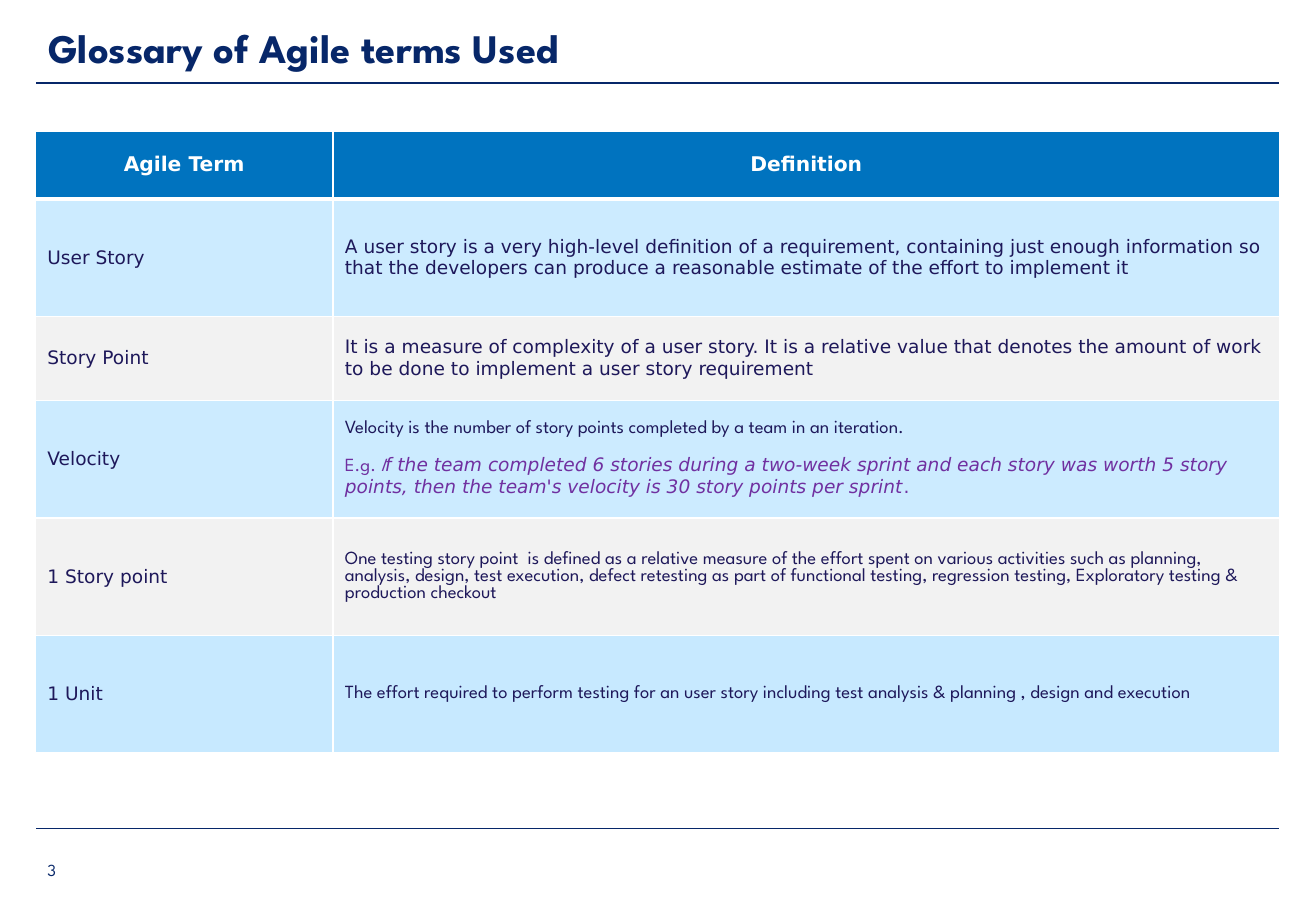
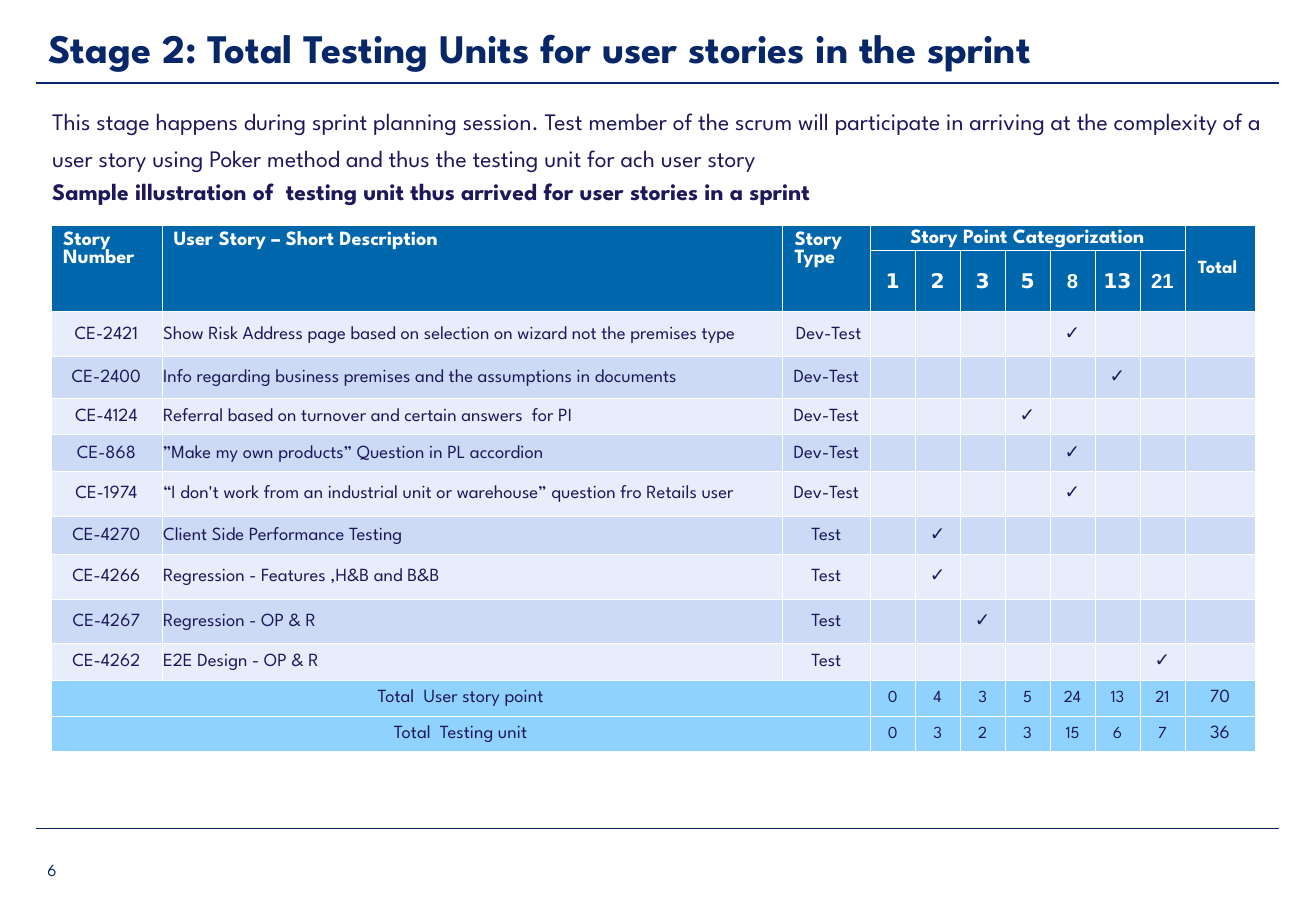
import lxml.etree
import pptx
import pptx.dml.color
import pptx.enum.shapes
import pptx.enum.text
import pptx.oxml.ns
import pptx.util

Cm, Pt = pptx.util.Cm, pptx.util.Pt
ALIGN = pptx.enum.text.PP_ALIGN
ANCHOR = pptx.enum.text.MSO_ANCHOR
qn = pptx.oxml.ns.qn

NAVY, INK, WHITE, PURPLE = "072769", "1E185A", "FFFFFF", "7030A0"
SPARTAN, DEJAVU, ARIAL = "League Spartan", "DejaVu Sans", "Arial"
WIDTH, HEIGHT = 27.51, 19.05
DEFAULT_INSETS = (0.25, 0.13, 0.25, 0.13)
TIGHT_INSETS = (0.03, 0.03, 0.03, 0)


def rgb(value):
    return pptx.dml.color.RGBColor.from_string(value)


def write(p, text, size=11, font=SPARTAN, color=INK, bold=False, italic=False,
          align=ALIGN.LEFT, spacing=None):
    p.alignment = align
    if spacing:
        p.line_spacing = spacing
    if not text:
        lxml.etree.SubElement(p._p, qn("a:endParaRPr"), sz=str(size * 100))
        return
    r = p.add_run()
    r.text = text
    r.font.size, r.font.name = Pt(size), font
    r.font.bold, r.font.italic = bold, italic
    r.font.color.rgb = rgb(color)


def add_text(s, box, text, anchor=ANCHOR.TOP, **fmt):
    tf = s.shapes.add_textbox(*map(Cm, box)).text_frame
    tf.word_wrap = True
    tf.vertical_anchor = anchor
    write(tf.paragraphs[0], text, **fmt)


def add_rule(s, left, top, width, weight):
    line = s.shapes.add_connector(pptx.enum.shapes.MSO_CONNECTOR.STRAIGHT,
                                  Cm(left), Cm(top), Cm(left + width), Cm(top))
    line.line.color.rgb = rgb(NAVY)
    line.line.width = Pt(weight)
    lxml.etree.SubElement(line._element.spPr, qn("a:effectLst"))


def add_frame(prs, title, number):
    s = prs.slides.add_slide(prs.slide_layouts[6])
    left, width = 0.76, 25.98
    add_rule(s, left, 1.73, width, 1)
    add_rule(s, left, 17.32, width, 0.75)
    add_text(s, (left, 0.33, width, 1.3), title, ANCHOR.BOTTOM,
             size=24, color=NAVY, bold=True)
    add_text(s, (left - 0.02, 17.53, 1.63, 1.32), number, ANCHOR.MIDDLE,
             size=10, color=NAVY)
    return s


def add_grid(s, left, top, cols, rows):
    table = s.shapes.add_table(len(rows), len(cols), Cm(left), Cm(top),
                               Cm(sum(cols)), Cm(sum(rows))).table
    table.first_row = table.horz_banding = False
    for col, width in zip(table.columns, cols):
        col.width = Cm(width)
    for row, height in zip(table.rows, rows):
        row.height = Cm(height)
    return table


def fill_cell(cell, text, fill, border, insets=DEFAULT_INSETS,
              anchor=ANCHOR.MIDDLE, **fmt):
    tcPr = cell._tc.get_or_add_tcPr()
    for side, weight in zip("LRTB", border):
        ln = lxml.etree.SubElement(tcPr, qn("a:ln" + side), w=str(Pt(weight)))
        solid = lxml.etree.SubElement(ln, qn("a:solidFill"))
        lxml.etree.SubElement(solid, qn("a:srgbClr"), val=WHITE)
    cell.fill.solid()
    cell.fill.fore_color.rgb = rgb(fill)
    cell.vertical_anchor = anchor
    (cell.margin_left, cell.margin_top,
     cell.margin_right, cell.margin_bottom) = map(Cm, insets)
    write(cell.text_frame.paragraphs[0], text, **fmt)


def add_glossary(s, left, top):
    terms = [
        ("User Story", "A user story is a very high-level definition of a requirement, "
         "containing just enough information so that the developers can produce a "
         "reasonable estimate of the effort to implement it", DEJAVU, "CCEBFF"),
        ("Story Point", "It is a measure of complexity of a user story. It is a relative "
         "value that denotes the amount of work to be done to implement a user story "
         "requirement", DEJAVU, "F2F2F2"),
        ("Velocity", "Velocity is the number of story points completed by a team in an "
         "iteration. ", SPARTAN, "CCEBFF"),
        ("1 Story point", "One testing story point  is defined as a relative measure of "
         "the effort spent on various activities such as planning, analysis, design, test "
         "execution, defect retesting as part of functional testing, regression testing, "
         "Exploratory testing & production checkout", SPARTAN, "F2F2F2"),
        ("1 Unit", "The effort required to perform testing for an user story including "
         "test analysis & planning , design and execution", SPARTAN, "C7E9FF"),
    ]
    table = add_grid(s, left, top, [6.22, 19.79], [1.42, 2.46, 1.75] + [2.46] * 3)
    for c, text in enumerate(("Agile Term", "Definition")):
        fill_cell(table.cell(0, c), text, "0073BF", (1, 1, 1, 3), size=12, font=DEJAVU,
                  color=WHITE, bold=True, align=ALIGN.CENTER)
    for i, (term, definition, font, fill) in enumerate(terms, 1):
        border = (1, 1, 3 if i == 1 else 1, 1)
        fill_cell(table.cell(i, 0), term, fill, border, font=DEJAVU)
        fill_cell(table.cell(i, 1), definition, fill, border, font=font)

    example = table.cell(3, 1).text_frame.add_paragraph()
    example.space_before = Pt(10)
    write(example, "E.g. ", color=PURPLE)
    write(example, "I", color=PURPLE, italic=True)
    write(example, "f the team completed 6 stories during a two-week sprint and each story "
          "was worth 5 story points, then the team's velocity is 30 story points per sprint",
          font=DEJAVU, color=PURPLE, italic=True)
    write(example, ".", font=DEJAVU, color=PURPLE)


def add_story_table(s, left, top):
    points = ["1", "2", "3", "5", "8", "13", "21"]
    stories = [
        ("CE-2421", "Show Risk Address page based on selection on wizard not the premises type",
         " Dev-Test", "8"),
        ("CE-2400", "Info regarding business premises and the assumptions in documents",
         "Dev-Test", "13"),
        ("CE-4124", "Referral based on turnover and certain answers  for PI ", "Dev-Test", "5"),
        ("CE-868", "”Make my own products” Question in PL accordion", "Dev-Test", "8"),
        ("CE-1974", "“I don't work from an industrial unit or warehouse” question fro "
         "Retails user", "Dev-Test", "8"),
        ("CE-4270", "Client Side Performance Testing", "Test", "2"),
        ("CE-4266", "Regression - Features ,H&B and B&B", "Test", "2"),
        ("CE-4267", "Regression - OP & R", "Test", "3"),
        ("CE-4262", "E2E Design - OP & R ", "Test", "21"),
    ]
    totals = [
        ["Total  User story point", "", "", "0", "4", "3", "5", "24", "13", "21", "70"],
        ["Total  Testing unit", "", "", "0", "3", "2", "3", "15", "6", "7", "36"],
    ]
    first, last = 3, 3 + len(points)
    table = add_grid(s, left, top, [2.31, 12.98, 1.83] + [0.94] * len(points) + [1.47],
                     [0.53, 1.02, 0.94, 0.88, 0.75, 0.77, 0.94, 0.79, 0.94, 0.92,
                      0.77, 0.75, 0.75])
    border = (0.25,) * 4

    headings = ["Story Number", "User Story – Short Description ", "Story Type",
                "Story Point Categorization"] + [""] * (len(points) - 1) + ["Total "]
    for r, texts in enumerate((headings, [""] * first + points + [""])):
        for c, text in enumerate(texts):
            label = c < first
            font = SPARTAN if r == 0 else ARIAL if text in ("8", "21") else DEJAVU
            fill_cell(table.cell(r, c), text, "0067AD", border,
                      DEFAULT_INSETS if label else TIGHT_INSETS,
                      ANCHOR.TOP if label else ANCHOR.MIDDLE,
                      size=11 if c == last else 12, font=font, color=WHITE, bold=True,
                      align=ALIGN.LEFT if label else ALIGN.CENTER)

    for r, (*story, point) in enumerate(stories, 2):
        marks = ["✓" if point == p else "" for p in points]
        for c, text in enumerate(story + marks + [""]):
            fill_cell(table.cell(r, c), text, "CCDAF6" if r % 2 else "E7EDFA", border,
                      TIGHT_INSETS, align=ALIGN.LEFT if c == 1 else ALIGN.CENTER)

    for r, texts in enumerate(totals, 2 + len(stories)):
        for c, text in enumerate(texts):
            fill_cell(table.cell(r, c), text, "8FD2FF", border, TIGHT_INSETS,
                      size=10 if first <= c < last else 11, align=ALIGN.CENTER)
        table.cell(r, 0).merge(table.cell(r, first - 1))

    for c in (*range(first), last):
        table.cell(0, c).merge(table.cell(1, c))
    table.cell(0, first).merge(table.cell(0, last - 1))


def glossary_slide(prs):
    s = add_frame(prs, "Glossary of Agile terms Used", "3")
    add_glossary(s, 0.74, 2.74)


def units_slide(prs):
    s = add_frame(prs, "Stage 2: Total Testing Units for user stories in the sprint", "6")
    add_story_table(s, 1.07, 4.7)
    add_text(s, (0.84, 3.4, 22.43, 1.45),
             "Sample illustration of  testing unit thus arrived for user stories in a sprint",
             size=14, bold=True, spacing=1.3)
    add_text(s, (0.84, 1.93, 26.01, 1.45),
             "This stage happens during sprint planning session. Test member of the scrum will "
             "participate in arriving at the complexity of a user story using Poker method and "
             "thus the testing unit for ach user story ", size=14, spacing=1.3)


prs = pptx.Presentation()
prs.slide_width, prs.slide_height = Cm(WIDTH), Cm(HEIGHT)
glossary_slide(prs)
units_slide(prs)
prs.save("out.pptx")
